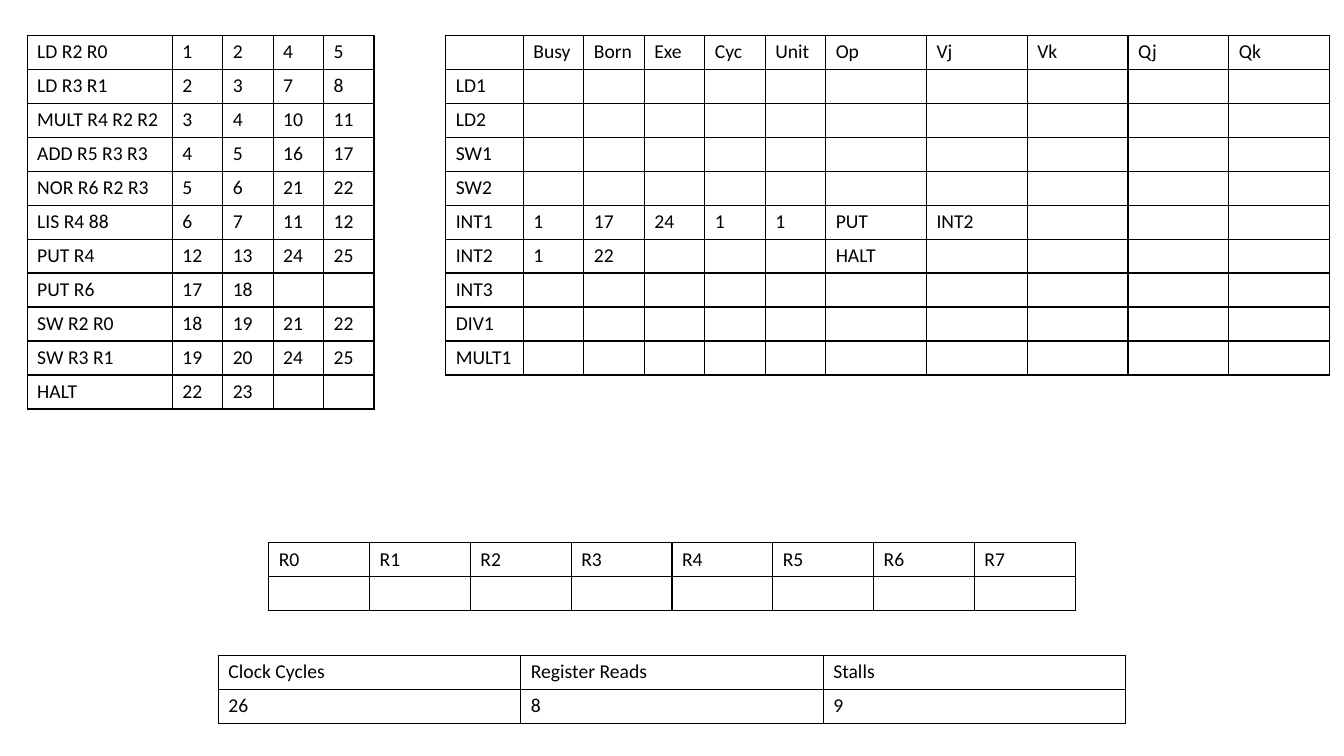
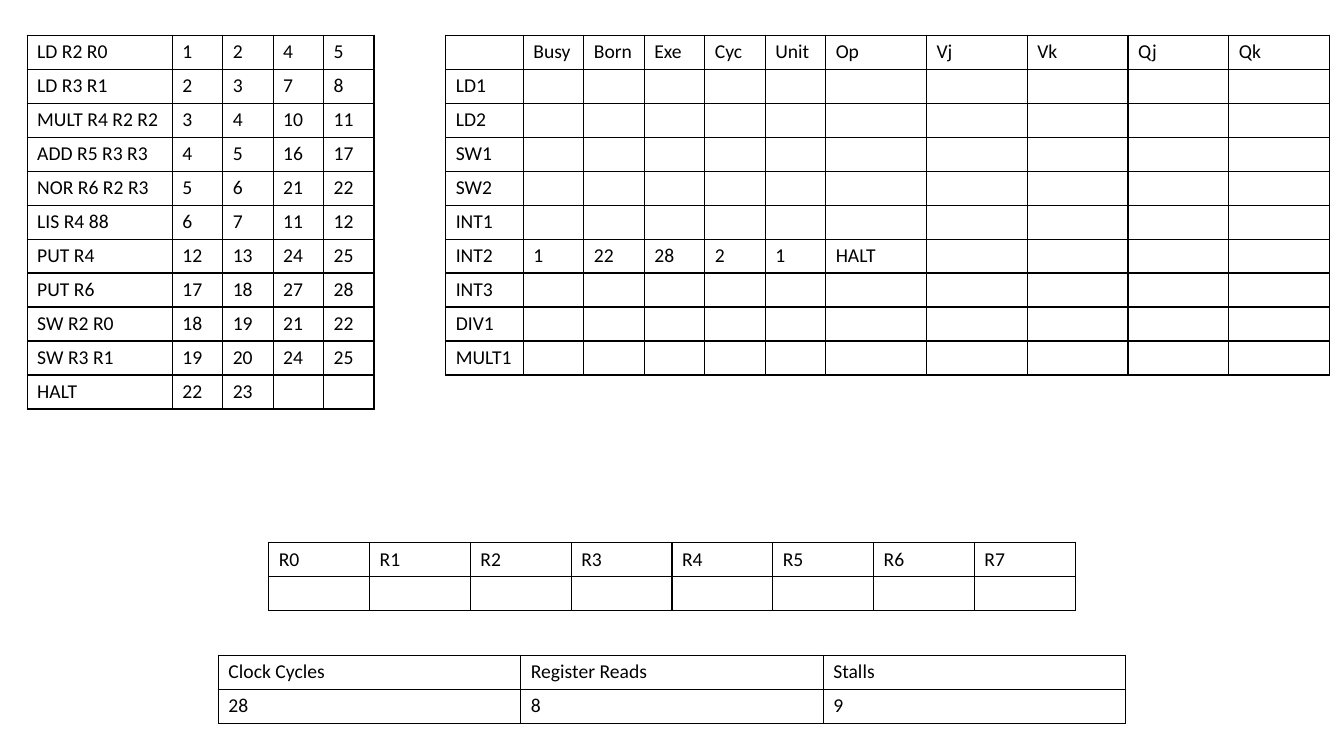
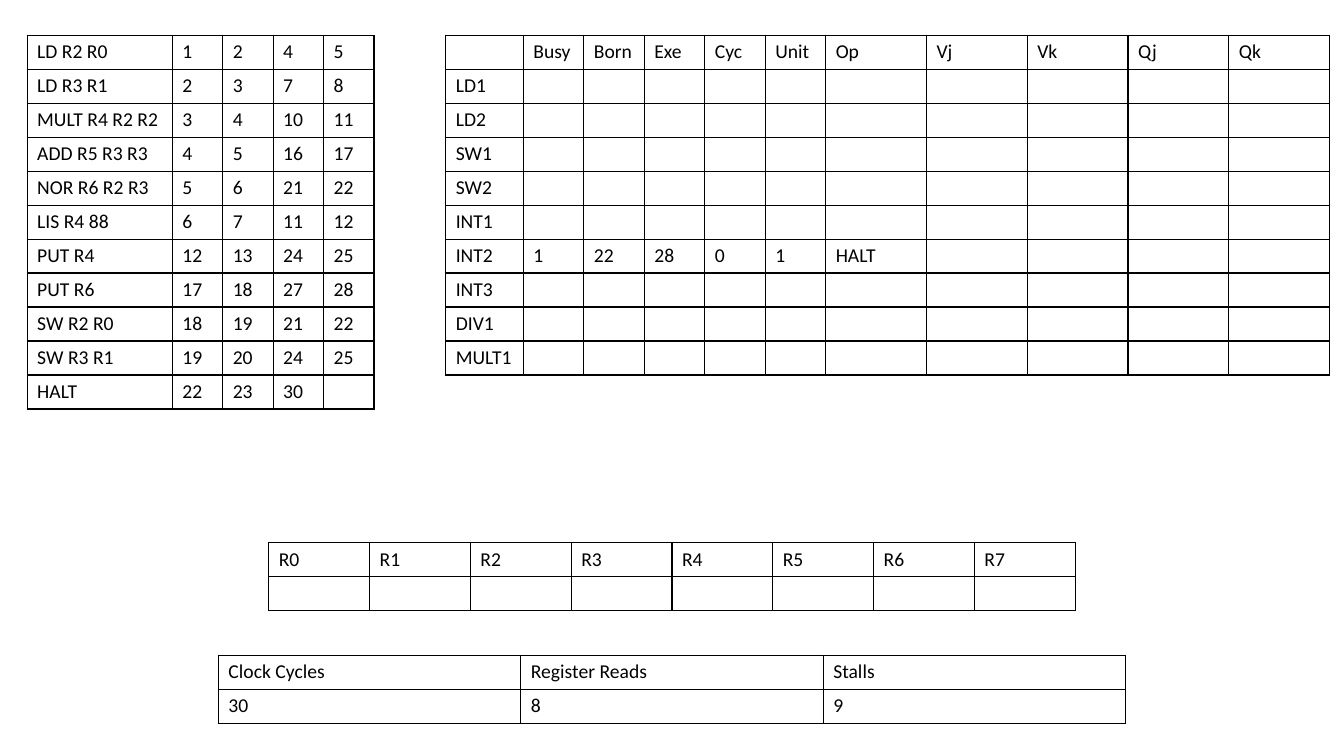
from dataclasses import dataclass, field

from lxml.etree import SubElement as Sub
from pptx import Presentation as Deck
from pptx.dml.color import RGBColor as Rgb
from pptx.oxml.ns import qn
from pptx.slide import Slide
from pptx.table import _Cell as Cell
from pptx.util import Pt

# Shared look
WIDE, HIGH = 960, 540
INK = "000000"
ROW = 24
TEXT = {"name": "Calibri", "size": Pt(14), "bold": False}
FLAGS = {"first_row": False, "horz_banding": False}

# Shared content
CODE = {
    "LD R2 R0": "1 2 4 5",
    "LD R3 R1": "2 3 7 8",
    "MULT R4 R2 R2": "3 4 10 11",
    "ADD R5 R3 R3": "4 5 16 17",
    "NOR R6 R2 R3": "5 6 21 22",
    "LIS R4 88": "6 7 11 12",
    "PUT R4": "12 13 24 25",
    "PUT R6": "17 18 27 28",
    "SW R2 R0": "18 19 21 22",
    "SW R3 R1": "19 20 24 25",
    "HALT": "22 23",
}
HEADS = ["", *"Busy Born Exe Cyc Unit Op Vj Vk Qj Qk".split()]
UNITS = "LD1 LD2 SW1 SW2 INT1 INT2 INT3 DIV1 MULT1".split()
REGS = [f"R{n}" for n in range(8)]
STATS = ["Clock Cycles", "Register Reads", "Stalls"]


@dataclass
class Grid:
    left: float
    top: float
    cols: list[float]
    rows: list[list[str]]


@dataclass
class State:
    clock: int
    busy: dict[str, list[str]]
    times: dict[str, str] = field(default_factory=dict)


STATES = [
    State(26, {"INT1": ["1", "17", "24", "1", "1", "PUT", "INT2"],
               "INT2": ["1", "22", "", "", "", "HALT"]}, {"PUT R6": "17 18"}),
    State(28, {"INT2": ["1", "22", "28", "2", "1", "HALT"]}),
    State(30, {"INT2": ["1", "22", "28", "0", "1", "HALT"]}, {"HALT": "22 23 30"}),
]


def tint(code: str) -> Rgb:
    return Rgb.from_string(code)


def frame(cell: Cell) -> None:
    """Clear the fill and rule all four sides."""
    cell.fill.background()
    props = cell._tc.get_or_add_tcPr()
    for spot, side in enumerate(("lnL", "lnR", "lnT", "lnB")):
        line = Sub(props, qn(f"a:{side}"), w=str(Pt(1)))
        fill = Sub(line, qn("a:solidFill"))
        Sub(fill, qn("a:srgbClr"), val=INK)
        props.insert(spot, line)


def write(cell: Cell, text: str) -> None:
    para = cell.text_frame.paragraphs[0]
    if not text:
        # Keeps an empty cell as low as a filled one
        Sub(para._p, qn("a:endParaRPr"), sz=str(int(TEXT["size"].pt * 100)))
        return
    run = para.add_run()
    run.text = text
    for key, value in TEXT.items():
        setattr(run.font, key, value)
    run.font.color.rgb = tint(INK)


def draw(slide: Slide, grid: Grid) -> None:
    size = len(grid.rows), len(grid.cols)
    box = grid.left, grid.top, sum(grid.cols), ROW * size[0]
    table = slide.shapes.add_table(*size, *map(Pt, box)).table
    for key, value in FLAGS.items():
        setattr(table, key, value)
    for col, width in zip(table.columns, grid.cols):
        col.width = Pt(width)
    for row, texts in zip(table.rows, grid.rows):
        row.height = Pt(ROW)
        # Short rows end in empty cells
        texts = texts + [""] * (size[1] - len(texts))
        for cell, text in zip(row.cells, texts):
            frame(cell)
            write(cell, text)


def mid(top: float, cols: list[float], rows: list[list[str]]) -> Grid:
    """A grid centred across the slide."""
    return Grid((WIDE - sum(cols)) / 2, top, cols, rows)


def build(slide: Slide, state: State) -> None:
    times = CODE | state.times
    code = [[name, *marks.split()] for name, marks in times.items()]
    units = [[name, *state.busy.get(name, [])] for name in UNITS]
    grids = [
        # Instruction timing
        Grid(19.4, 25.2, [103.7] + [36] * 4, code),
        # Reservation stations
        Grid(318.4, 25.2, [55.4] + [43.2] * 5 + [72] * 5, [HEADS, *units]),
        # Registers
        mid(387.4, [72] * 8, [REGS, []]),
        # Totals
        mid(468, [216] * 3, [STATS, [str(state.clock), "8", "9"]]),
    ]
    for grid in grids:
        draw(slide, grid)


def main() -> None:
    deck = Deck()
    deck.slide_width, deck.slide_height = Pt(WIDE), Pt(HIGH)
    blank = deck.slide_layouts[6]
    for state in STATES:
        build(deck.slides.add_slide(blank), state)
    deck.save("out.pptx")


if __name__ == "__main__":
    main()
